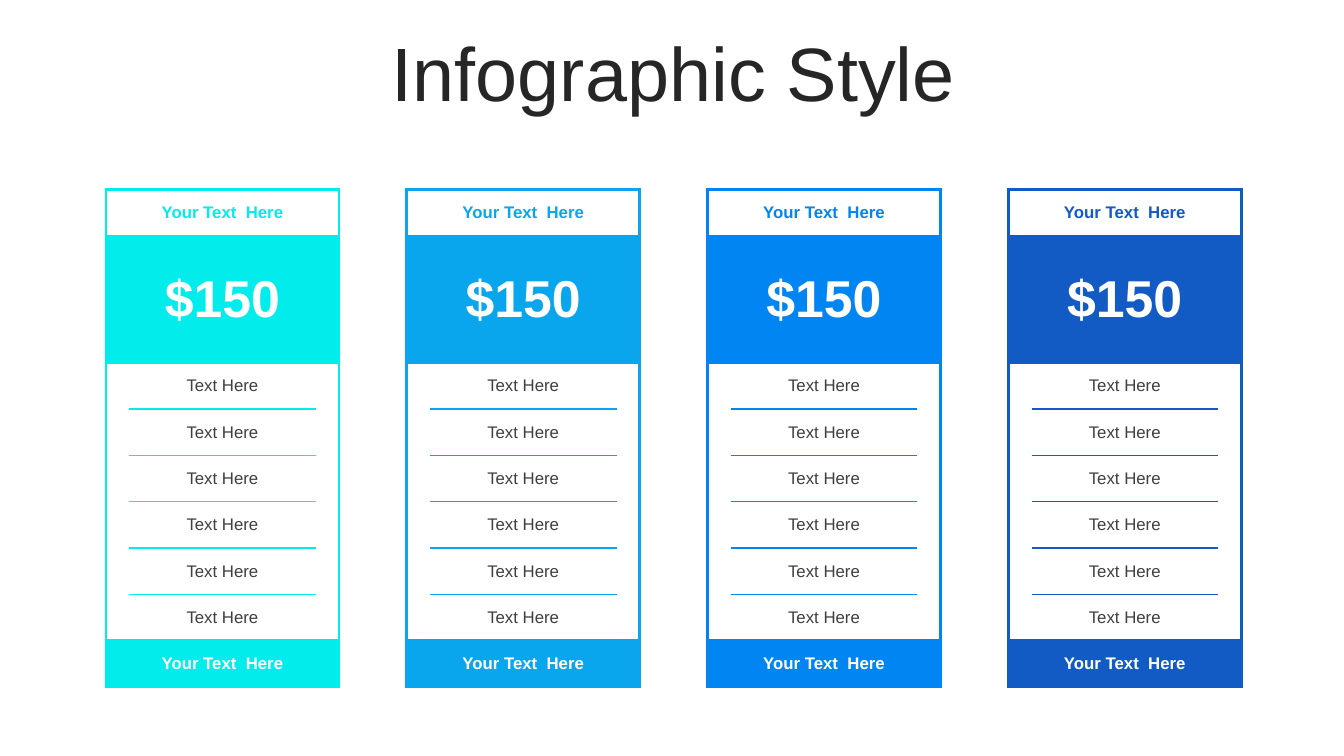
import pptx
import pptx.util
import pptx.dml.color
import pptx.enum.text
import pptx.oxml
import pptx.oxml.ns

COLORS = {
    "paper": "FFFFFF",
    "title": "262626",
    "body": "3F3F3F",
    "cyan": "02ECEC",
    "sky": "0AA6ED",
    "azure": "0085F2",
    "navy": "125AC4",
}
PLANS = ["cyan", "sky", "azure", "navy"]
FEATURE_COUNT = 6
HEAVY, THIN = 2.25, 1
CENTER = pptx.enum.text.PP_ALIGN.CENTER
MIDDLE = pptx.enum.text.MSO_ANCHOR.MIDDLE
FONTS = {
    "title": {"name": "Arial", "size": pptx.util.Pt(54), "bold": False},
    "label": {"name": "Arial", "size": pptx.util.Pt(12), "bold": True},
    "price": {"name": "Arial", "size": pptx.util.Pt(37), "bold": True},
    "feature": {"name": "Arial", "size": pptx.util.Pt(12), "bold": False},
}
CELL_FORMAT = {
    "vertical_anchor": MIDDLE,
    "margin_left": pptx.util.Inches(0.09),
    "margin_right": pptx.util.Inches(0.09),
    "margin_top": pptx.util.Inches(0.04),
    "margin_bottom": pptx.util.Inches(0.04),
}
TABLE_FORMAT = {"first_row": False, "horz_banding": False}

deck = pptx.Presentation()
deck.slide_width = pptx.util.Inches(13.33)
deck.slide_height = pptx.util.Inches(7.5)


def across(percent):
    return round(deck.slide_width * percent / 100)


def down(percent):
    return round(deck.slide_height * percent / 100)


def apply_format(target, values):
    for name, value in values.items():
        setattr(target, name, value)


def rgb(color):
    return pptx.dml.color.RGBColor.from_string(COLORS[color])


def write(frame, words, style, color):
    para = frame.paragraphs[0]
    para.alignment = CENTER
    span = para.add_run()
    span.text = words
    apply_format(span.font, FONTS[style])
    span.font.color.rgb = rgb(color)
    return para


def paint_cell(cell, fill, color, edges):
    apply_format(cell, CELL_FORMAT)
    properties = cell._tc.get_or_add_tcPr()
    for side in "LRTB":
        width = pptx.util.Pt(edges.get(side, 0))
        paint = f'<a:solidFill><a:srgbClr val="{COLORS[color]}"/></a:solidFill>'
        properties.append(pptx.oxml.parse_xml(
            f'<a:ln{side} {pptx.oxml.ns.nsdecls("a")} w="{width}">'
            f'{paint if width else "<a:noFill/>"}</a:ln{side}>'))
    cell.fill.solid()
    cell.fill.fore_color.rgb = rgb(fill)


def add_band(table, row, words, style, fill, ink, color):
    cells = [table.cell(row, column) for column in range(3)]
    for cell in cells:
        paint_cell(cell, fill, color, dict.fromkeys("LRTB", HEAVY))
    cells[0].merge(cells[2])
    write(cells[0].text_frame, words, style, ink)


def add_feature(table, row, words, color):
    first, last = row == 2, row == FEATURE_COUNT + 1
    outer = {"T": HEAVY if first else 0, "B": HEAVY if last else 0}
    divider = {"T": outer["T"] or THIN, "B": outer["B"] or THIN}
    edges = [{**outer, "L": HEAVY}, divider, {**outer, "R": HEAVY}]
    for column, sides in enumerate(edges):
        paint_cell(table.cell(row, column), "paper", color, sides)
    write(table.cell(row, 1).text_frame, words, "feature", "body")


def add_title(page, box):
    frame = page.shapes.add_textbox(*box).text_frame
    apply_format(frame, {"word_wrap": True, "vertical_anchor": MIDDLE})
    write(frame, "Infographic Style", "title", "title").line_spacing = 0.9


def add_plan(page, box, color):
    left, top, width, height = box
    table = page.shapes.add_table(FEATURE_COUNT + 3, 3, left, top, width, height).table
    apply_format(table, TABLE_FORMAT)
    for column, share in zip(table.columns, [0.1, 0.8, 0.1]):
        column.width = round(width * share)
    row_height = down(6.13)
    for row in table.rows:
        row.height = row_height
    table.rows[1].height = height - row_height * (FEATURE_COUNT + 2)
    add_band(table, 0, "Your Text  Here", "label", "paper", color, color)
    add_band(table, 1, "$150", "price", color, "paper", color)
    for row in range(2, FEATURE_COUNT + 2):
        add_feature(table, row, "Text Here", color)
    add_band(table, FEATURE_COUNT + 2, "Your Text  Here", "label", color, "paper", color)


page = deck.slides.add_slide(deck.slide_layouts[6])
add_title(page, (across(2.63), down(4.93), across(94.97), down(10.53)))
for index, plan in enumerate(PLANS):
    add_plan(page, (across(7.88 + 22.38 * index), down(25.1), across(17.35), down(65.8)), plan)
deck.save("out.pptx")
